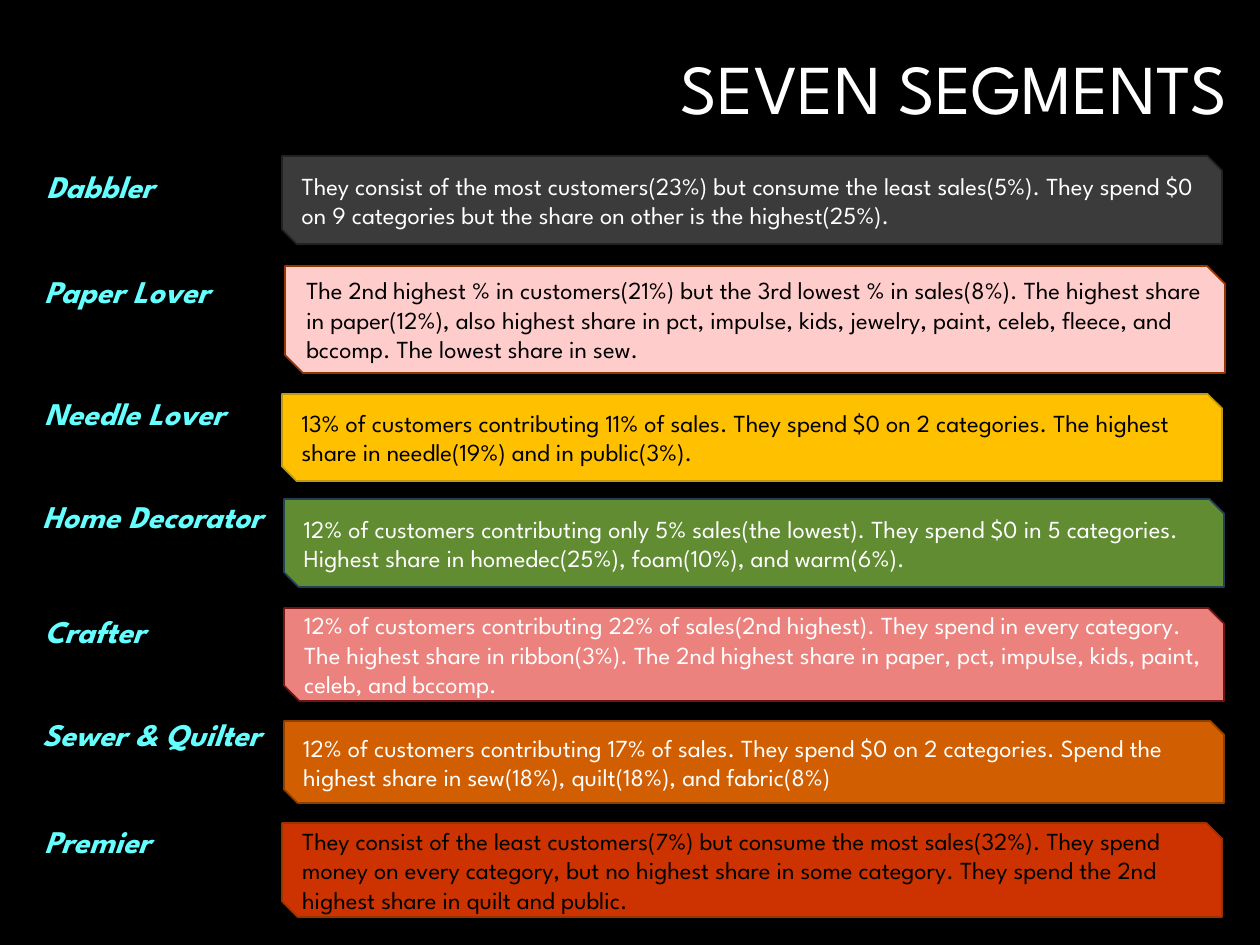
"""Build the Seven Segments slide: a label and a coloured description per customer segment."""
from pptx import Presentation
from pptx.dml.color import RGBColor
from pptx.enum.shapes import MSO_SHAPE
from pptx.enum.text import MSO_ANCHOR, PP_ALIGN
from pptx.util import Pt

PX = 914400 / 126
FONT = "League Spartan"
COLORS = {
    "black": "000000", "white": "FFFFFF", "cyan": "66FFFF",
    "gray": "3B3B3B", "gray_line": "222222",
    "pink": "FFCCCC", "rust": "993300",
    "gold": "FFC000", "gold_line": "C19915",
    "green": "618C32", "navy_line": "20415A",
    "coral": "EC827E", "coral_line": "721411",
    "orange": "D15E01", "orange_line": "8B3F01",
    "red": "CC3300",
}
TITLE = "SEVEN SEGMENTS"
TITLE_BOX = (296, 16, 944, 151)
BAR_WIDTH = 940

# name, label box, bar (left, top, height), fill, line, text colour, description
SEGMENTS = [
    ("Dabbler", (34, 161, 251, 50), (282, 156, 88), "gray", "gray_line", "white",
     "They consist of the most customers(23%) but consume the least sales(5%). "
     "They spend $0 on 9 categories but the share on other is the highest(25%)."),
    ("Paper Lover", (32, 266, 217, 50), (285, 266, 107), "pink", "rust", "black",
     "The 2nd highest % in customers(21%) but the 3rd lowest % in sales(8%). "
     "The highest share in paper(12%), also highest share in pct, impulse, kids, "
     "jewelry, paint, celeb, fleece, and bccomp. The lowest share in sew."),
    ("Needle Lover", (32, 388, 265, 50), (282, 394, 87), "gold", "gold_line", "black",
     "13% of customers contributing 11% of sales. They spend $0 on 2 categories. "
     "The highest share in needle(19%) and in public(3%)."),
    ("Home Decorator", (30, 491, 253, 89), (284, 499, 88), "green", "navy_line", "white",
     "12% of customers contributing only 5% sales(the lowest). They spend $0 in 5 "
     "categories. Highest share in homedec(25%), foam(10%), and warm(6%)."),
    ("Crafter", (32, 606, 236, 50), (284, 608, 93), "coral", "coral_line", "white",
     "12% of customers contributing 22% of sales(2nd highest). They spend in every "
     "category. The highest share in ribbon(3%). The 2nd highest share in paper, pct, "
     "impulse, kids, paint, celeb, and bccomp."),
    ("Sewer & Quilter", (30, 709, 253, 89), (284, 721, 82), "orange", "orange_line", "white",
     "12% of customers contributing 17% of sales. They spend $0 on 2 categories. "
     "Spend the highest share in sew(18%), quilt(18%), and fabric(8%)"),
    ("Premier", (32, 816, 253, 50), (282, 823, 94), "red", "rust", "black",
     "They consist of the least customers(7%) but consume the most sales(32%). They "
     "spend money on every category, but no highest share in some category. They "
     "spend the 2nd highest share in quilt and public."),
]


def emu(*lengths):
    return [round(n * PX) for n in lengths]


def rgb(name):
    return RGBColor.from_string(COLORS[name])


def write(sp, text, size, color, anchor=MSO_ANCHOR.TOP, align=PP_ALIGN.LEFT, emphasis=None):
    tf = sp.text_frame
    tf.word_wrap = True
    tf.vertical_anchor = anchor
    p = tf.paragraphs[0]
    p.text = text
    p.alignment = align
    font = p.runs[0].font
    font.name, font.size = FONT, Pt(size)
    font.bold = font.italic = emphasis
    font.color.rgb = rgb(color)
    return p


def add_bar(s, box, fill, line, color, text):
    sp = s.shapes.add_shape(MSO_SHAPE.SNIP_2_DIAG_RECTANGLE, *emu(*box))
    sp.shadow.inherit = False
    sp.fill.solid()
    sp.fill.fore_color.rgb = rgb(fill)
    sp.line.color.rgb = rgb(line)
    sp.line.width = Pt(1)
    write(sp, text, 14, color, MSO_ANCHOR.MIDDLE)


def main():
    prs = Presentation()
    prs.slide_width, prs.slide_height = emu(1260, 945)
    s = prs.slides.add_slide(prs.slide_layouts[6])
    s.background.fill.solid()
    s.background.fill.fore_color.rgb = rgb("black")

    title = s.shapes.add_textbox(*emu(*TITLE_BOX))
    p = write(title, TITLE, 40, "white", MSO_ANCHOR.MIDDLE, PP_ALIGN.RIGHT)
    p.line_spacing = 0.9

    for name, label_box, (left, top, height), fill, line, color, text in SEGMENTS:
        add_bar(s, (left, top, BAR_WIDTH, height), fill, line, color, text)
        write(s.shapes.add_textbox(*emu(*label_box)), name, 18, "cyan", emphasis=True)

    prs.save("out.pptx")


if __name__ == "__main__":
    main()
